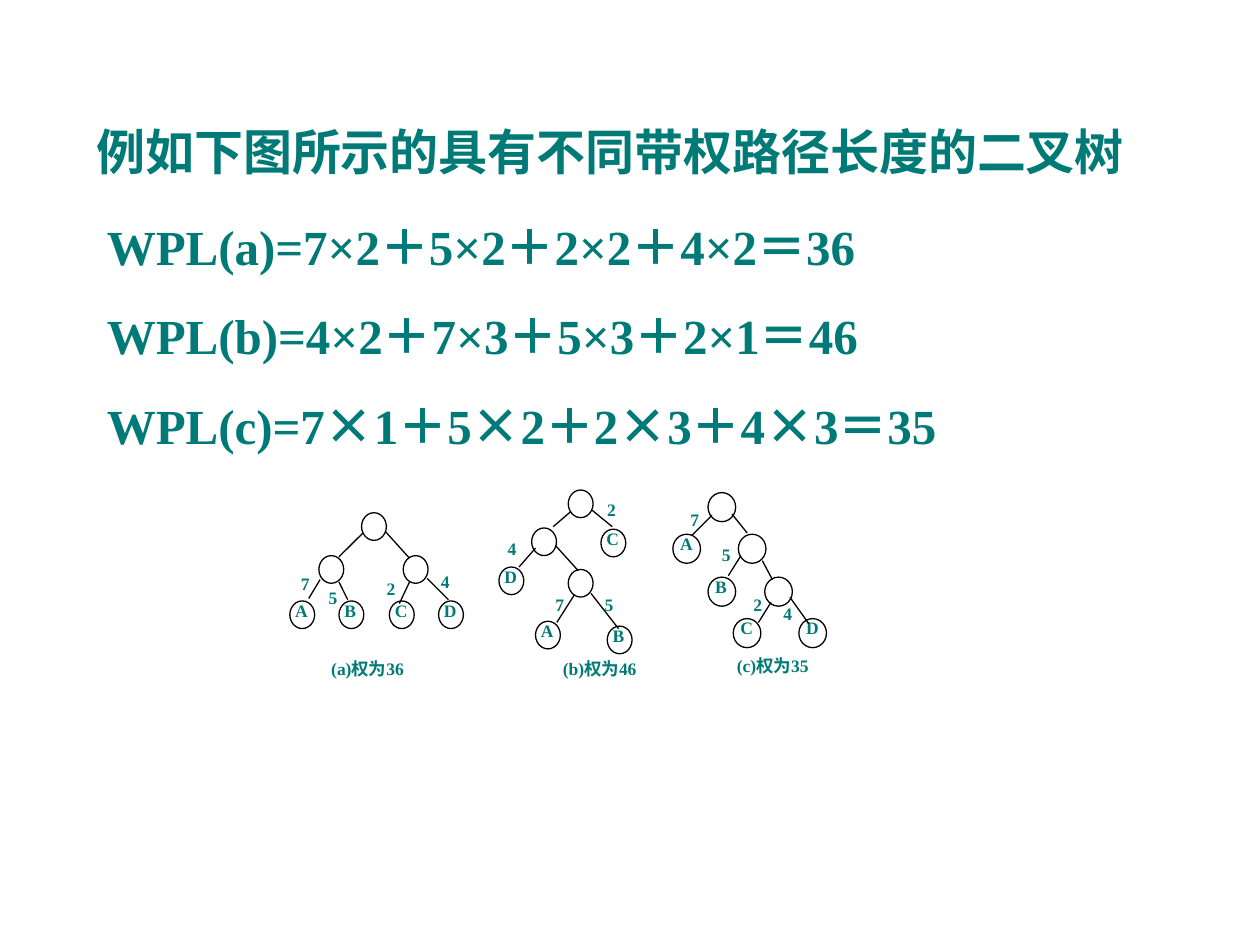
import itertools

import pptx
import pptx.enum.shapes
import pptx.enum.text
import pptx.oxml
import pptx.oxml.ns
import pptx.util

Pt = pptx.util.Pt
JUSTIFY = pptx.enum.text.PP_ALIGN.JUSTIFY
LEFT = pptx.enum.text.PP_ALIGN.LEFT
COLORS = {"text": "007A77", "line": "000000"}
LATIN, CJK = "Times New Roman", "Noto Sans CJK SC"
OPERATORS = "×＋＝"

TITLE = "例如下图所示的具有不同带权路径长度的二叉树"
FORMULAS = [
    "WPL(a)=7×2＋5×2＋2×2＋4×2＝36",
    "WPL(b)=4×2＋7×3＋5×3＋2×1＝46",
    "WPL(c)=7×1＋5×2＋2×3＋4×3＝35",
]

# Nodes: (letter, left, top); edges: (x1, y1, x2, y2); weights: (value, left, top);
# caption: (text, left, top, width). All lie relative to the tree's own box.
TREES = [
    {
        "origin": (161, 293), "node_size": (14.2, 15.8), "letter_inset": 4,
        "nodes": [("", 45.6, 0), ("", 21.2, 24.5), ("", 69.4, 24.5), ("A", 4.6, 50.4),
                  ("B", 32.7, 50.4), ("C", 61.5, 50.4), ("D", 89.6, 50.4)],
        "edges": [(46.4, 11.6, 32.7, 25.2), (59.3, 10.8, 73, 26), (21.9, 38.2, 15.4, 49),
                  (32.7, 39.6, 37.7, 49.7), (73, 39.6, 67.2, 51.9), (83.1, 37.5, 95.3, 49.7)],
        "weights": [("7", 3.9, 31), ("5", 19.7, 38.9), ("2", 52.8, 33.9), ("4", 83.8, 29.6)],
        "caption": ("(a)权为36", 21.2, 79.2, 66),
    },
    {
        "origin": (281, 280), "node_size": (14.2, 15.8), "letter_inset": 4,
        "nodes": [("", 43.7, 0), ("", 22.8, 21.7), ("C", 62.4, 22.4), ("", 43.7, 45.4),
                  ("B", 66, 77.8), ("D", 4.1, 44), ("A", 25, 75)],
        "edges": [(45.2, 12.3, 35.1, 21), (57.4, 11.6, 68.9, 21), (25, 33.2, 15.6, 44),
                  (36.5, 31.8, 49.5, 46.2), (47.3, 59.8, 37.2, 75.7), (56.7, 59.1, 72.5, 79.3)],
        "weights": [("7", 29.3, 56.2), ("5", 57.4, 56.2), ("2", 58.8, 1.5), ("4", 2, 23.8)],
        "caption": ("(b)权为46", 33.6, 92.2, 69),
    },
    {
        "origin": (381, 281), "node_size": (15.8, 16.6), "letter_inset": 3,
        "nodes": [("", 23.6, 0.5), ("A", 3.5, 24.3), ("", 40.9, 24.3), ("B", 23.6, 48.8),
                  ("", 56, 48.8), ("C", 38, 72.5), ("D", 75.5, 72.5)],
        "edges": [(25.8, 13.5, 14.3, 25), (37.3, 12.8, 46, 23.6), (42.4, 36.5, 35.2, 48),
                  (54.6, 39.4, 60.4, 50.2), (59.6, 63.2, 52.4, 74.7), (70.4, 60.3, 81.2, 75.4)],
        "weights": [("7", 6.4, 6.3), ("5", 24.4, 26.4), ("2", 42.4, 55.2), ("4", 59.6, 60.3)],
        "caption": ("(c)权为35", 33, 89.8, 73),
    },
]


def rgb(name):
    return pptx.dml.color.RGBColor.from_string(COLORS[name])


def add_run(paragraph, text, size, face=LATIN):
    run = paragraph.add_run()
    run.text = text
    for attribute, value in {"size": Pt(size), "bold": True, "name": face}.items():
        setattr(run.font, attribute, value)
    run.font.color.rgb = rgb("text")
    east_asian = pptx.oxml.parse_xml(
        f'<a:ea {pptx.oxml.ns.nsdecls("a")} typeface="{CJK}"/>')
    run.font._element.append(east_asian)


def add_frame(shapes, left, top, width, height):
    frame = shapes.add_textbox(Pt(left), Pt(top), Pt(width), Pt(height)).text_frame
    frame.word_wrap = True
    return frame


def add_label(shapes, text, left, top, width, height):
    paragraph = add_frame(shapes, left, top, width, height).paragraphs[0]
    paragraph.alignment = JUSTIFY
    add_run(paragraph, text, 10)


def add_title(slide, left, top, width, height):
    frame = add_frame(slide.shapes, left, top, width, height)
    add_run(frame.paragraphs[0], TITLE, 28)


def add_formulas(slide, left, top, width, height):
    """Write the three path lengths; the last sets its operators in the CJK face."""
    frame = add_frame(slide.shapes, left, top, width, height)
    for index, formula in enumerate(FORMULAS):
        last = index == len(FORMULAS) - 1
        paragraph = frame.add_paragraph() if index else frame.paragraphs[0]
        paragraph.alignment = LEFT if last else JUSTIFY
        if index:
            paragraph.space_before = Pt(17.5)
        for is_operator, part in itertools.groupby(
                formula, lambda sign: last and sign in OPERATORS):
            add_run(paragraph, "".join(part), 28, CJK if is_operator else LATIN)


def add_node(shapes, left, top, width, height):
    node = shapes.add_shape(pptx.enum.shapes.MSO_SHAPE.OVAL,
                            Pt(left), Pt(top), Pt(width), Pt(height))
    node.shadow.inherit = False
    node.fill.background()
    node.line.color.rgb = rgb("line")
    node.line.width = Pt(0.75)


def add_edge(shapes, *ends):
    edge = shapes.add_connector(pptx.enum.shapes.MSO_CONNECTOR.STRAIGHT, *map(Pt, ends))
    edge.line.color.rgb = rgb("line")
    edge.line.width = Pt(0.75)
    edge._element.spPr.append(
        pptx.oxml.parse_xml(f'<a:effectLst {pptx.oxml.ns.nsdecls("a")}/>'))


def add_tree(slide, tree):
    x, y = tree["origin"]
    width, height = tree["node_size"]
    inset = tree["letter_inset"]
    shapes = slide.shapes.add_group_shape().shapes
    for letter, left, top in tree["nodes"]:
        if letter:
            add_label(shapes, letter, x + left - inset, y + top - 4.3, width + 2 * inset, 23)
        add_node(shapes, x + left, y + top, width, height)
    for x1, y1, x2, y2 in tree["edges"]:
        add_edge(shapes, x + x1, y + y1, x + x2, y + y2)
    for weight, left, top in tree["weights"]:
        add_label(shapes, weight, x + left, y + top, 21, 22)
    caption, left, top, caption_width = tree["caption"]
    add_label(shapes, caption, x + left, y + top, caption_width, 26)


def main():
    deck = pptx.Presentation()
    deck.slide_width, deck.slide_height = Pt(720), Pt(540)
    slide = deck.slides.add_slide(deck.slide_layouts[6])
    add_title(slide, 48, 66, 642, 41)
    add_formulas(slide, 54, 120, 642, 143)
    for tree in TREES:
        add_tree(slide, tree)
    deck.save("out.pptx")


if __name__ == "__main__":
    main()
